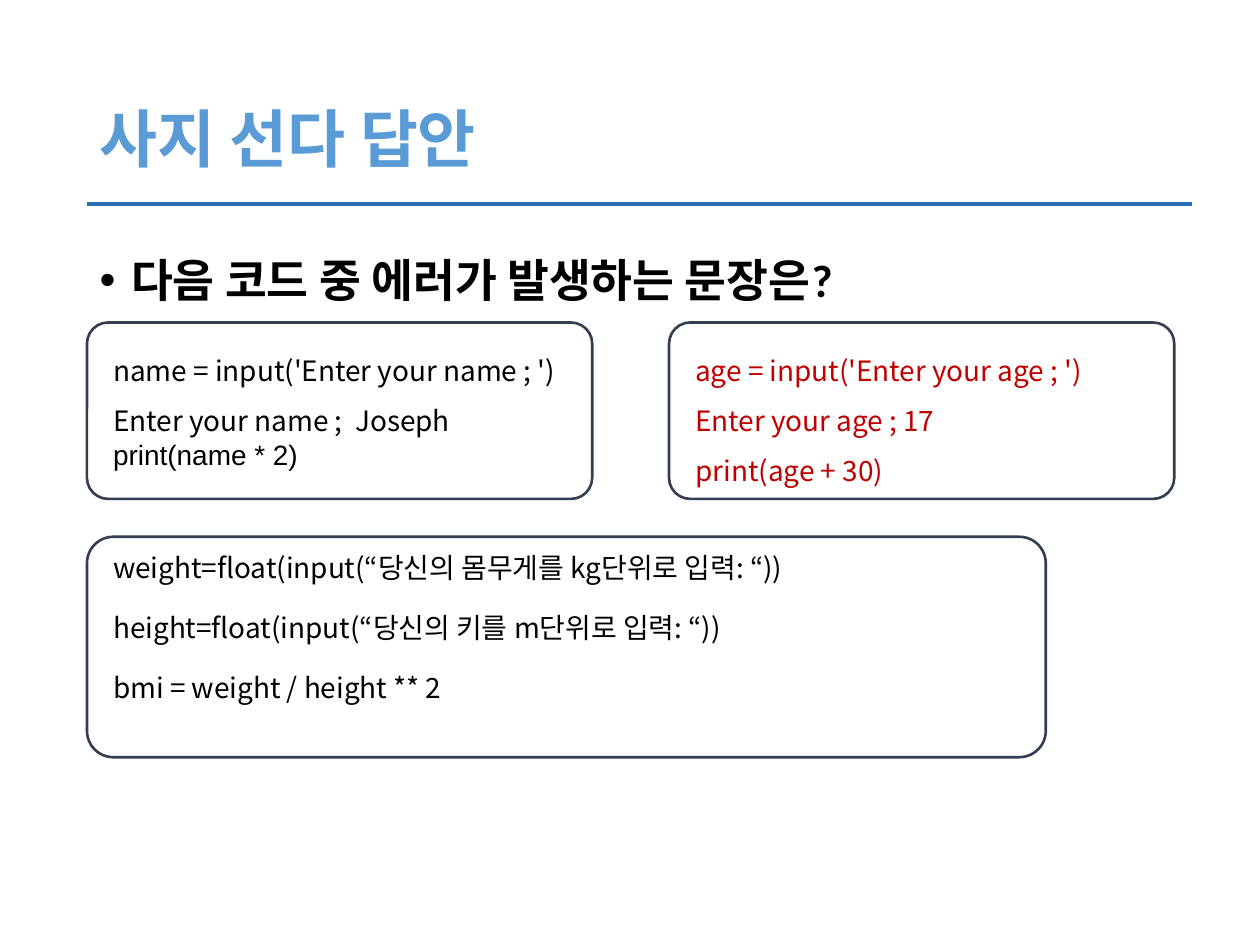
import pptx
import pptx.dml.color
import pptx.enum.shapes
import pptx.enum.text
import pptx.oxml.ns
import pptx.util
from lxml import etree
from pptx.util import Inches

BLACK = "000000"
RED = "C00000"
CODE_FONT = "Noto Sans CJK KR"


def color(hex_text):
    return pptx.dml.color.RGBColor.from_string(hex_text)


def style_paragraph(para, font_name, size, hex_text, bold=False, spacing=1.0):
    para.alignment = pptx.enum.text.PP_ALIGN.LEFT
    para.line_spacing = spacing
    para.space_before = pptx.util.Pt(0)
    para.font.name = font_name
    para.font.size = pptx.util.Pt(size)
    para.font.bold = bold
    para.font.color.rgb = color(hex_text)
    # Hangul takes its typeface from the East Asian font.
    defaults = para._p.pPr.find(pptx.oxml.ns.qn("a:defRPr"))
    east_asian = etree.SubElement(defaults, pptx.oxml.ns.qn("a:ea"))
    east_asian.set("typeface", CODE_FONT)


def place(shape, left, top, width, height):
    shape.left, shape.top = Inches(left), Inches(top)
    shape.width, shape.height = Inches(width), Inches(height)


def fill_placeholder(holder, text, size, hex_text):
    frame = holder.text_frame
    frame.text = text
    frame.auto_size = pptx.enum.text.MSO_AUTO_SIZE.NONE
    para = frame.paragraphs[0]
    style_paragraph(para, "Calibri", size, hex_text, bold=True, spacing=0.9)
    return para


def add_rule(slide, left, right, y):
    rule = slide.shapes.add_connector(
        pptx.enum.shapes.MSO_CONNECTOR.STRAIGHT,
        Inches(left), Inches(y), Inches(right), Inches(y))
    rule.line.color.rgb = color("2A6FB5")
    rule.line.width = pptx.util.Pt(2.25)
    etree.SubElement(rule._element.spPr, pptx.oxml.ns.qn("a:effectLst"))


def add_frame(slide, left, top, width, height):
    frame = slide.shapes.add_shape(
        pptx.enum.shapes.MSO_SHAPE.ROUNDED_RECTANGLE,
        Inches(left), Inches(top), Inches(width), Inches(height))
    frame.adjustments[0] = 0.12
    frame.shadow.inherit = False
    frame.fill.solid()
    frame.fill.fore_color.rgb = color("FFFFFF")
    frame.line.color.rgb = color("333F50")
    frame.line.width = pptx.util.Pt(1.5)


def add_code(slide, left, top, width, height, lines, hex_text=BLACK,
             spacing=1.5, gap=0):
    """Add code lines with gap points between them; return the paragraphs."""
    box = slide.shapes.add_textbox(
        Inches(left), Inches(top), Inches(width), Inches(height))
    box.text_frame.word_wrap = True
    box.text_frame.text = "\n".join(lines)
    paras = box.text_frame.paragraphs
    for index, para in enumerate(paras):
        style_paragraph(para, CODE_FONT, 16, hex_text, spacing=spacing)
        if index:
            para.space_before = pptx.util.Pt(gap)
    return paras


def main():
    deck = pptx.Presentation()
    deck.slide_width, deck.slide_height = Inches(10), Inches(7.5)
    slide = deck.slides.add_slide(deck.slide_layouts[1])
    title, body = slide.placeholders

    place(title, 0.69, 0.4, 8.62, 1.45)
    fill_placeholder(title, "사지 선다 답안", 36, "5B9BD5")
    add_rule(slide, 0.69, 9.46, 1.62)

    place(body, 0.69, 2, 8.62, 4.76)
    question = fill_placeholder(
        body, "다음 코드 중 에러가 발생하는 문장은?", 26, BLACK)
    question._p.pPr.set("marL", str(Inches(0.25)))
    question._p.pPr.set("indent", str(Inches(-0.25)))

    for left in (0.69, 5.31):
        add_frame(slide, left, 2.56, 4.01, 1.4)
    add_frame(slide, 0.69, 4.26, 7.61, 1.75)

    name_code = add_code(slide, 0.8, 2.62, 3.89, 1.18, [
        "name = input('Enter your name ; ')",
        "Enter your name ;  Joseph",
        "print(name * 2)"])
    name_code[-1].font.name = "Arial"
    name_code[-1].line_spacing = 1.0

    add_code(slide, 5.42, 2.62, 3.89, 1.31, [
        "age = input('Enter your age ; ')",
        "Enter your age ; 17",
        "print(age + 30)"], RED)

    add_code(slide, 0.8, 4.32, 7.25, 1.45, [
        "weight=float(input(“당신의 몸무게를 kg단위로 입력: “))",
        "height=float(input(“당신의 키를 m단위로 입력: “))",
        "bmi = weight / height ** 2"], spacing=1.0, gap=15)

    deck.save("out.pptx")


if __name__ == "__main__":
    main()
